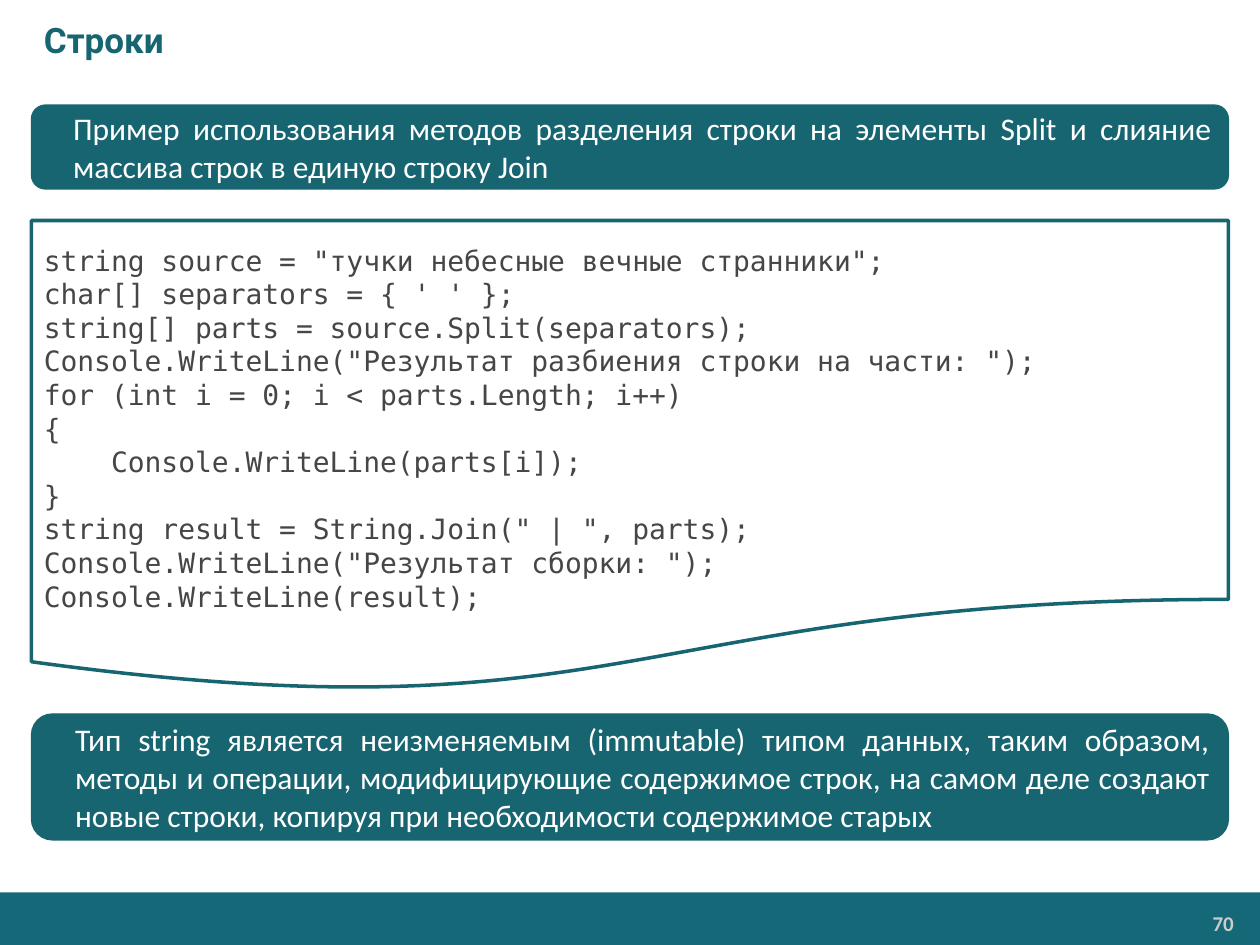
from pptx import Presentation
from pptx.dml.color import RGBColor
from pptx.enum.shapes import MSO_SHAPE
from pptx.enum.text import MSO_ANCHOR, PP_ALIGN
from pptx.util import Pt

RECT = MSO_SHAPE.RECTANGLE
ROUND = MSO_SHAPE.ROUNDED_RECTANGLE
SHEET = MSO_SHAPE.FLOWCHART_DOCUMENT
LEFT, RIGHT, JUST = PP_ALIGN.LEFT, PP_ALIGN.RIGHT, PP_ALIGN.JUSTIFY
TOP, MIDDLE = MSO_ANCHOR.TOP, MSO_ANCHOR.MIDDLE

TEAL, BAR, WHITE, DARK, GREY = "176571", "146878", "FFFFFF", "464547", "CCCCCC"
EDGE, WIDE = 18, 684

CODE = """string source = "тучки небесные вечные странники";
char[] separators = { ' ' };
string[] parts = source.Split(separators);
Console.WriteLine("Результат разбиения строки на части: ");
for (int i = 0; i < parts.Length; i++)
{
    Console.WriteLine(parts[i]);
}
string result = String.Join(" | ", parts);
Console.WriteLine("Результат сборки: ");
Console.WriteLine(result);"""


def color(code):
    return RGBColor.from_string(code)


class Page:
    body, head, mono = "Calibri", "Roboto", "DejaVu Sans Mono"

    def __init__(self, deck):
        self.slide = deck.slides.add_slide(deck.slide_layouts[6])

    def shape(self, kind, x, y, w, h, fill, line=None, width=0.75):
        item = self.slide.shapes.add_shape(kind, Pt(x), Pt(y), Pt(w), Pt(h))
        item.shadow.inherit = False
        item.fill.solid()
        item.fill.fore_color.rgb = color(fill)
        if line:
            item.line.color.rgb = color(line)
            item.line.width = Pt(width)
        else:
            item.line.fill.background()
        return item

    def put_text(self, item, text, size, font, ink, bold=False,
                 align=LEFT, anchor=MIDDLE, indent=0):
        frame = item.text_frame
        frame.word_wrap = True
        frame.vertical_anchor = anchor
        for i, line in enumerate(text.split("\n")):
            para = frame.add_paragraph() if i else frame.paragraphs[0]
            para.add_run().text = line
            para.alignment = align
            if indent:
                props = para._p.get_or_add_pPr()
                props.set("marL", str(Pt(indent)))
                props.set("indent", "0")
            para.font.size = Pt(size)
            para.font.name = font
            para.font.bold = bold
            para.font.color.rgb = color(ink)
        return frame

    def label(self, x, y, w, h, text, size, font, ink, **style):
        box = self.slide.shapes.add_textbox(Pt(x), Pt(y), Pt(w), Pt(h))
        return self.put_text(box, text, size, font, ink, bold=True, **style)

    def note(self, y, h, text):
        item = self.shape(ROUND, EDGE, y, WIDE, h, TEAL, TEAL)
        self.put_text(item, text, 18, self.body, WHITE, align=JUST, indent=14.4)

    def code(self, y, h, text):
        item = self.shape(SHEET, EDGE, y, WIDE, h, WHITE, TEAL, 2)
        frame = self.put_text(item, text, 16, self.mono, DARK, anchor=TOP)
        frame.margin_top, frame.margin_bottom = Pt(13), 0


def main():
    deck = Presentation()
    deck.slide_width, deck.slide_height = Pt(720), Pt(540)
    page = Page(deck)

    # Footer with page number
    page.shape(RECT, 0, 510, 720, 30, BAR)
    frame = page.label(592.5, 517.5, 117.5, 20, "70", 12, page.body, GREY,
                       align=RIGHT, anchor=TOP)
    frame.margin_left = frame.margin_right = Pt(5)
    frame.margin_top = frame.margin_bottom = Pt(3)

    # Title
    page.label(0, 0, 720, 45, "Строки", 20, page.head, TEAL, indent=18)

    # Code sheet
    page.code(126, 270, CODE)

    # Notes above and below the code
    page.note(60, 48, "Пример использования методов разделения строки на элементы "
              "Split и слияние массива строк в единую строку Join")
    page.note(408, 72, "Тип string является неизменяемым (immutable) типом данных, "
              "таким образом, методы и операции, модифицирующие содержимое строк, "
              "на самом деле создают новые строки, копируя при необходимости "
              "содержимое старых")

    deck.save("out.pptx")


if __name__ == "__main__":
    main()
